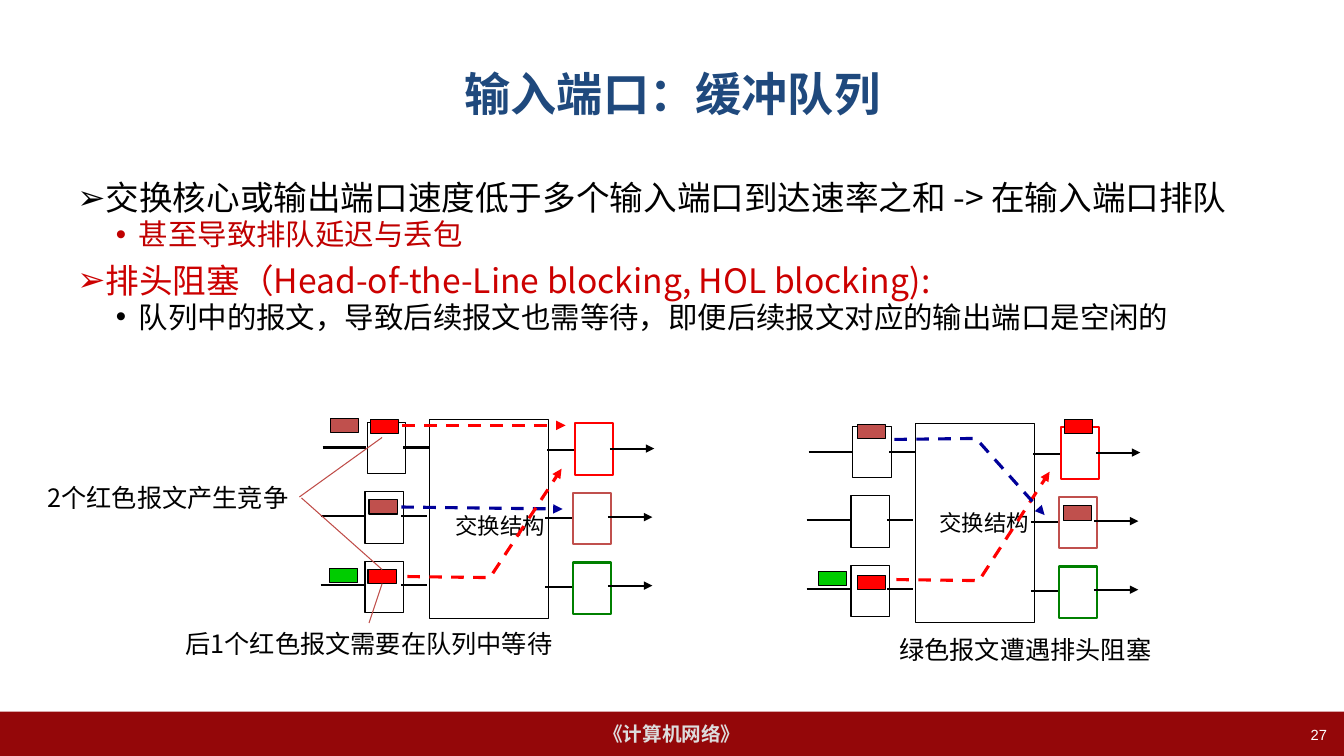
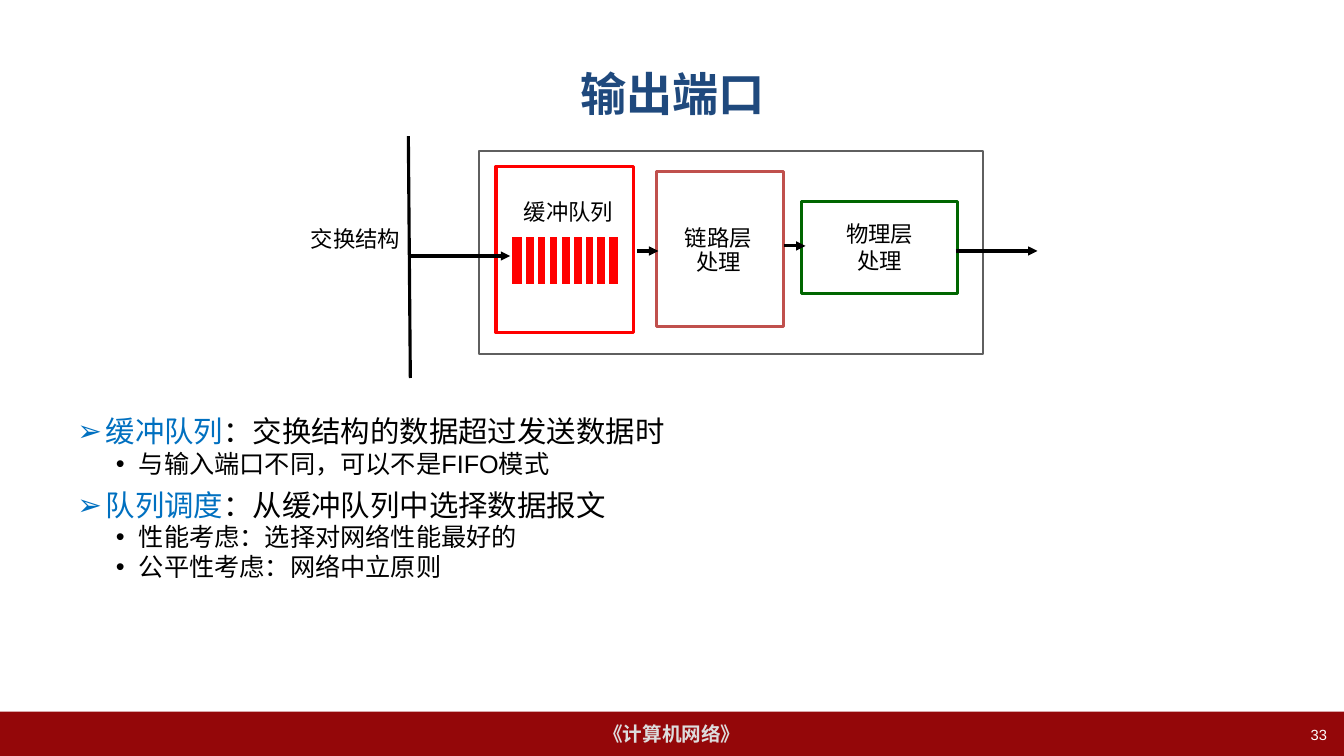
from dataclasses import dataclass

from lxml import etree
from pptx import Presentation
from pptx import util as u
from pptx.dml import color as dml_color
from pptx.enum import dml, shapes, text
from pptx.oxml import ns

SCALE = 9144
WIDTH, HEIGHT = 1333, 750
ROW_PITCH, WIRE_PITCH = 69, 68
PACKET_SIZE = 28, 14


@dataclass(frozen=True)
class Theme:
    latin: str = "Arial"
    cjk: str = "Noto Sans CJK SC"
    title: str = "1F497D"
    band: str = "940709"
    band_text: str = "DDDDDD"
    black: str = "000000"
    white: str = "FFFFFF"
    red: str = "FF0000"
    brick: str = "C0504D"
    pointer: str = "BF4C48"
    lime: str = "00CC00"
    green: str = "008000"
    dark_green: str = "006600"
    navy: str = "000099"
    grey: str = "5F5F5F"
    warning: str = "C00000"
    emphasis: str = "CC0000"
    term: str = "0070C0"
    title_size: float = 33
    band_size: float = 14
    number_size: float = 10.5
    caption_size: float = 18
    label_size: float = 16
    large_body: tuple = (24, 21)
    small_body: tuple = (21, 18)


THEME = Theme()


def px(*lengths):
    return [u.Emu(length * SCALE) for length in lengths]


def rgb(value):
    return dml_color.RGBColor.from_string(value)


def write(paragraph, words, *, size, color=THEME.black, font=THEME.cjk,
          bold=False, align=text.PP_ALIGN.LEFT, spacing=1.0, before=0):
    paragraph.alignment = align
    paragraph.line_spacing = spacing
    paragraph.space_before = u.Pt(before)
    run = paragraph.add_run()
    run.text = words
    run.font.size = u.Pt(size)
    run.font.bold = bold
    run.font.color.rgb = rgb(color)
    run.font.name = font
    properties = run.font.fill and run.element_rpr if hasattr(run, "element_rpr") else None
    if properties is None:
        properties = paragraph.runs[-1]._r.get_or_add_rPr()
    etree.SubElement(properties, ns.qn("a:ea"), typeface=THEME.cjk)


def add_bullet(paragraph, level):
    margin, indent, mark = ((28, -28, "➢"), (61, -23, "•"))[level]
    properties = paragraph._p.get_or_add_pPr()
    properties.set("marL", str(margin * SCALE))
    properties.set("indent", str(indent * SCALE))
    etree.SubElement(properties, ns.qn("a:buFont"), typeface=THEME.latin)
    etree.SubElement(properties, ns.qn("a:buChar"), char=mark)


class Deck:
    def __init__(self, theme):
        self.theme = theme
        self.file = Presentation()
        self.file.slide_width, self.file.slide_height = px(WIDTH, HEIGHT)
        self.slide = None

    def start(self, title, number):
        theme = self.theme
        self.slide = self.file.slides.add_slide(self.file.slide_layouts[5])
        self.box(0, 706, WIDTH, 44, fill=theme.band, words="《计算机网络》",
                 size=theme.band_size, color=theme.band_text,
                 font=theme.latin, bold=True)
        heading = self.slide.shapes.title
        heading.left, heading.top, heading.width, heading.height = px(67, 30, 1200, 125)
        self.fill_frame(heading.text_frame, title, size=theme.title_size,
                        color=theme.title, font=theme.latin, bold=True)
        self.label(1015, 715, 311, 35, str(number), size=theme.number_size,
                   color=theme.white, font=theme.latin, align=text.PP_ALIGN.RIGHT)

    def fill_frame(self, frame, words, anchor=text.MSO_ANCHOR.MIDDLE, wrap=True,
                   align=text.PP_ALIGN.CENTER, **style):
        frame.word_wrap = wrap
        frame.auto_size = text.MSO_AUTO_SIZE.NONE
        frame.vertical_anchor = anchor
        for index, line in enumerate(words.split("\n")):
            paragraph = frame.add_paragraph() if index else frame.paragraphs[0]
            write(paragraph, line, align=align, **style)

    def label(self, left, top, width, height, words, **style):
        area = self.slide.shapes.add_textbox(*px(left, top, width, height))
        self.fill_frame(area.text_frame, words, anchor=text.MSO_ANCHOR.TOP, **style)

    def caption(self, left, top, width, words):
        self.label(left, top, width, 40, words, size=self.theme.caption_size)

    def body(self, top, height, sizes, font, items):
        area = self.slide.shapes.add_textbox(*px(67, top, 1200, height))
        frame = area.text_frame
        frame.word_wrap = True
        for index, (level, *parts) in enumerate(items):
            paragraph = frame.add_paragraph() if index else frame.paragraphs[0]
            paragraph.level = level
            for words, color in parts:
                write(paragraph, words, size=sizes[level], color=color, font=font,
                      spacing=0.9, before=(9, 1.6)[level] if index else 0)
            add_bullet(paragraph, level)

    def stroke(self, shape, color, weight, dashed=False, arrow=False):
        shape.line.color.rgb = rgb(color)
        shape.line.width = u.Pt(weight)
        if dashed:
            shape.line.dash_style = dml.MSO_LINE.DASH
        if arrow:
            outline = shape.element.spPr.find(ns.qn("a:ln"))
            etree.SubElement(outline, ns.qn("a:tailEnd"), type="triangle")

    def box(self, left, top, width, height, fill=THEME.white, line=None,
            weight=0.75, words=None, **style):
        shape = self.slide.shapes.add_shape(
            shapes.MSO_SHAPE.RECTANGLE, *px(left, top, width, height))
        shape.shadow.inherit = False
        shape.fill.solid()
        shape.fill.fore_color.rgb = rgb(fill)
        if line:
            self.stroke(shape, line, weight)
        else:
            shape.line.fill.background()
        if words:
            self.fill_frame(shape.text_frame, words, wrap=False, **style)

    def packet(self, left, top, color):
        self.box(left, top, *PACKET_SIZE, fill=color, line=self.theme.black)

    def line(self, start, end, color=THEME.black, weight=1.5, **ends):
        connector = self.slide.shapes.add_connector(
            shapes.MSO_CONNECTOR.STRAIGHT, *px(*start, *end))
        self.stroke(connector, color, weight, **ends)
        etree.SubElement(connector.element.spPr, ns.qn("a:effectLst"))

    def route(self, color, start, *points):
        builder = self.slide.shapes.build_freeform(*start, scale=SCALE)
        builder.add_line_segments(points, close=False)
        shape = builder.convert_to_shape()
        shape.shadow.inherit = False
        shape.fill.background()
        self.stroke(shape, color, 2.25, dashed=True, arrow=True)

    def fabric(self, left, top):
        theme = self.theme
        self.box(left, top, 118, 198, line=theme.black)
        for row, color in enumerate((theme.red, theme.brick, theme.green)):
            shift = left if row else left + 2
            port = top + row * ROW_PITCH
            wire = top + row * WIRE_PITCH
            self.box(shift - 64, port + 3, 38, 51, line=theme.black)
            self.box(shift + 142, port + 4, 38, 51, line=color, weight=1.5)
            for begin, end, drop in ((115, 141, 30), (-28, -2, 28), (-108, -65, 28)):
                self.line((shift + begin, wire + drop), (shift + end, wire + drop))
            self.line((shift + 177, wire + 29), (shift + 221, wire + 29), arrow=True)


def input_port(deck):
    theme = deck.theme
    deck.start("输入端口：缓冲队列", 27)
    deck.body(175, 495, theme.large_body, theme.cjk, [
        (0, ("交换核心或输出端口速度低于多个输入端口到达速率之和 -> 在输入端口排队", theme.black)),
        (1, ("甚至导致排队延迟与丢包", theme.warning)),
        (0, ("排头阻塞（Head-of-the-Line blocking, HOL blocking):", theme.emphasis)),
        (1, ("队列中的报文，导致后续报文也需等待，即便后续报文对应的输出端口是空闲的", theme.black)),
    ])

    contention = [(367, 416, theme.red), (366, 496, theme.brick), (365, 565, theme.red),
                  (328, 415, theme.brick), (327, 564, theme.lime)]
    blocking = [(1056, 416, theme.red), (850, 421, theme.brick), (850, 571, theme.red),
                (812, 567, theme.lime), (1055, 502, theme.brick)]
    for corner, name_at, packets in (((426, 416), (442, 503), contention),
                                     ((908, 420), (922, 500), blocking)):
        deck.fabric(*corner)
        deck.label(*name_at, 110, 37, "交换结构", size=theme.label_size,
                   wrap=False, align=text.PP_ALIGN.LEFT)
        for packet in packets:
            deck.packet(*packet)

    deck.line((399, 422), (561, 422), theme.red, 2.25, dashed=True, arrow=True)
    deck.line((398, 503), (558, 505), theme.navy, 2.25, dashed=True, arrow=True)
    deck.route(theme.red, (404, 572), (486, 573), (557, 465))
    deck.route(theme.red, (889, 575), (971, 576), (1041, 468))
    deck.route(theme.navy, (887, 436), (968, 435), (1036, 511))

    deck.caption(-19, 474, 371, "2个红色报文产生竞争")
    deck.caption(163, 618, 406, "后1个红色报文需要在队列中等待")
    deck.caption(837, 624, 360, "绿色报文遭遇排头阻塞")
    for start, end in (((297, 493), (379, 434)), ((299, 494), (379, 565)),
                       ((379, 579), (366, 618))):
        deck.line(start, end, theme.pointer, 0.75)


def output_port(deck):
    theme = deck.theme
    deck.start("输出端口", 33)
    deck.body(409, 261, theme.small_body, theme.latin, [
        (0, ("缓冲队列", theme.term), ("：交换结构的数据超过发送数据时", theme.black)),
        (1, ("与输入端口不同，可以不是FIFO模式", theme.black)),
        (0, ("队列调度", theme.term), ("：从缓冲队列中选择数据报文", theme.black)),
        (1, ("性能考虑：选择对网络性能最好的", theme.black)),
        (1, ("公平性考虑：网络中立原则", theme.black)),
    ])

    deck.box(475, 150, 500, 201, line=theme.grey, weight=1.5)
    deck.box(795, 200, 155, 91, line=theme.dark_green, weight=2.25,
             words="物理层\n处理", size=theme.label_size)
    deck.box(651, 170, 126, 154, line=theme.brick, weight=2.25)
    deck.box(655, 204, 115, 91, words="链路层\n处理", size=theme.label_size, spacing=0.9)
    deck.box(295, 193, 115, 91, words="交换结构", size=theme.label_size, spacing=0.9)

    deck.box(492, 165, 136, 165, line=theme.red, weight=2.25)
    deck.label(509, 192, 110, 37, "缓冲队列", size=theme.label_size, wrap=False)
    deck.box(506, 233, 109, 51, fill=theme.red, line=theme.white, weight=3)
    for slot in range(8):
        gap = round(520 + slot * 82 / 7)
        deck.line((gap, 234), (gap, 283), theme.white, 3)

    deck.line((405, 135), (407, 375), weight=2.25)
    for begin, end, level in ((405, 506, 254), (632, 653, 249),
                              (778, 799, 244), (948, 1029, 249)):
        deck.line((begin, level), (end, level), weight=2.25, arrow=True)


def main():
    deck = Deck(THEME)
    input_port(deck)
    output_port(deck)
    deck.file.save("out.pptx")


if __name__ == "__main__":
    main()
